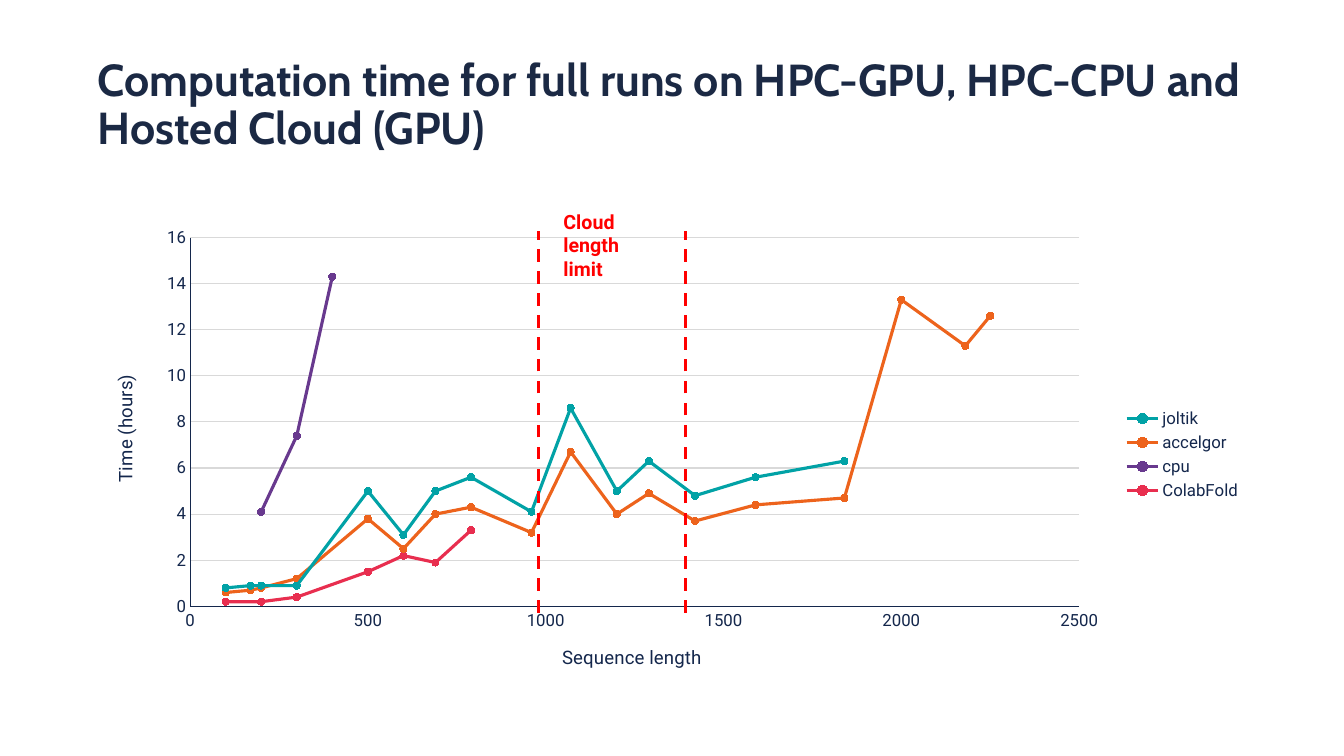
from itertools import zip_longest

from lxml import etree
from pptx import Presentation
from pptx.chart.data import XyChartData
from pptx.dml.color import RGBColor
from pptx.enum.chart import XL_CHART_TYPE, XL_LEGEND_POSITION, XL_MARKER_STYLE, XL_TICK_MARK
from pptx.enum.dml import MSO_LINE
from pptx.enum.shapes import MSO_CONNECTOR
from pptx.enum.text import MSO_ANCHOR, MSO_AUTO_SIZE, PP_ALIGN
from pptx.oxml.ns import qn
from pptx.util import Inches, Pt

SCATTER = XL_CHART_TYPE.XY_SCATTER_LINES
LEGEND_RIGHT = XL_LEGEND_POSITION.RIGHT
CIRCLE = XL_MARKER_STYLE.CIRCLE
NO_TICK = XL_TICK_MARK.NONE
DASH = MSO_LINE.DASH
STRAIGHT = MSO_CONNECTOR.STRAIGHT
MIDDLE = MSO_ANCHOR.MIDDLE
GROW = MSO_AUTO_SIZE.SHAPE_TO_FIT_TEXT
FIXED = MSO_AUTO_SIZE.NONE
LEFT = PP_ALIGN.LEFT

NAVY, INK, RED, GRID = "1B2944", "14274C", "FF0000", "D9D9D9"
LENGTHS = [100, 170, 200, 300, 400, 500, 600, 690, 790, 960,
           1070, 1200, 1290, 1420, 1590, 1840, 2000, 2180, 2250]
RUNS = [
    ("joltik", "01A2A6", [0.8, 0.9, 0.9, 0.9, None, 5, 3.1, 5, 5.6, 4.1,
                          8.6, 5, 6.3, 4.8, 5.6, 6.3]),
    ("accelgor", "ED631C", [0.6, 0.7, 0.8, 1.2, None, 3.8, 2.5, 4, 4.3, 3.2,
                            6.7, 4, 4.9, 3.7, 4.4, 4.7, 13.3, 11.3, 12.6]),
    ("cpu", "68398E", [None, None, 4.1, 7.4, 14.3]),
    ("ColabFold", "E82E4F", [0.2, None, 0.2, 0.4, None, 1.5, 2.2, 1.9, 3.3]),
]


def color(value):
    """Turn a hex string into a colour."""
    return RGBColor.from_string(value)


def style_font(font, name, size, fill, bold=False):
    """Set face, size, colour and weight of a font."""
    font.name, font.size, font.bold = name, Pt(size), bold
    font.color.rgb = color(fill)


def style_line(line, fill, width):
    """Set colour and width of a line."""
    line.color.rgb = color(fill)
    line.width = Pt(width)


def place(element, target=None, **percents):
    """Fix a chart part at percentages of the chart area."""
    layout = element.find(qn("c:layout"))
    if layout is None:
        layout = etree.Element(qn("c:layout"))
        element.insert(0, layout)
    manual = etree.SubElement(layout, qn("c:manualLayout"))
    settings = [("layoutTarget", target)] if target else []
    settings += [("xMode", "edge"), ("yMode", "edge")]
    settings += [(key, f"{percent / 100:.3f}") for key, percent in percents.items()]
    for key, value in settings:
        etree.SubElement(manual, qn(f"c:{key}")).set("val", value)


def bridge_gaps(chart_space):
    """Leave missing values empty and draw lines across them."""
    for point in list(chart_space.iter(qn("c:pt"))):
        if point.findtext(qn("c:v")) == "None":
            point.getparent().remove(point)
    for blanks in chart_space.iter(qn("c:dispBlanksAs")):
        blanks.set("val", "span")


class SlideBuilder:
    """Hold the style and the current slide, measured in percent of its size."""

    heading_font, body_font = "Cabin", "Roboto"

    def __init__(self, deck):
        """Add a slide that has a title placeholder."""
        self.deck = deck
        self.slide = deck.slides.add_slide(deck.slide_layouts[5])

    def x(self, percent):
        """Convert a share of the slide width."""
        return round(self.deck.slide_width * percent / 100)

    def y(self, percent):
        """Convert a share of the slide height."""
        return round(self.deck.slide_height * percent / 100)

    def area(self, left, top, width, height):
        """Convert the shares of a rectangle."""
        return self.x(left), self.y(top), self.x(width), self.y(height)

    def title(self, text, *area):
        """Fill and move the title."""
        box = self.slide.shapes.title
        box.left, box.top, box.width, box.height = self.area(*area)
        frame = box.text_frame
        frame.text = text
        frame.word_wrap, frame.auto_size, frame.vertical_anchor = True, FIXED, MIDDLE
        para = frame.paragraphs[0]
        para.alignment, para.line_spacing = LEFT, 0.9
        style_font(para.font, self.heading_font, 32, NAVY, True)

    def label(self, text, *area):
        """Add a bold red label."""
        frame = self.slide.shapes.add_textbox(*self.area(*area)).text_frame
        frame.text = text
        frame.word_wrap, frame.auto_size = True, GROW
        style_font(frame.paragraphs[0].font, self.body_font, 14, RED, True)

    def limit(self, left, bottom, top):
        """Add a dashed vertical limit."""
        line = self.slide.shapes.add_connector(
            STRAIGHT, self.x(left), self.y(bottom), self.x(left), self.y(top))
        style_line(line.line, RED, 2.25)
        line.line.dash_style = DASH
        etree.SubElement(line._element.spPr, qn("a:effectLst"))

    def axis(self, axis, title, maximum, step, left, top):
        """Format one axis and place its title."""
        axis.minimum_scale, axis.maximum_scale, axis.major_unit = 0, maximum, step
        axis.major_tick_mark = axis.minor_tick_mark = NO_TICK
        style_font(axis.tick_labels.font, self.body_font, 12, INK)
        style_line(axis.format.line, INK, 0.75)
        frame = axis.axis_title.text_frame
        frame.text = title
        style_font(frame.paragraphs[0].font, self.body_font, 13.3, INK)
        place(axis.axis_title._element, x=left, y=top)

    def chart(self, *area):
        """Add the scatter chart of the run times."""
        data = XyChartData()
        for name, _, hours in RUNS:
            series = data.add_series(name)
            for length, hour in zip_longest(LENGTHS, hours):
                series.add_data_point(length, hour)
        chart = self.slide.shapes.add_chart(SCATTER, *self.area(*area), data).chart
        bridge_gaps(chart._chartSpace)
        style_font(chart.font, self.body_font, 10, INK)
        chart.has_title = False
        chart.has_legend = True
        chart.legend.position, chart.legend.include_in_layout = LEGEND_RIGHT, False
        style_font(chart.legend.font, self.body_font, 12, INK)

        self.axis(chart.category_axis, "Sequence length", 2500, 500, 40.2, 89.5)
        self.axis(chart.value_axis, "Time (hours)", 16, 2, 1.4, 32.3)
        chart.category_axis.has_major_gridlines = False
        chart.value_axis.has_major_gridlines = True
        style_line(chart.value_axis.major_gridlines.format.line, GRID, 0.75)
        plot_area = chart._chartSpace.chart.plotArea
        place(plot_area, "inner", x=8.4, y=4, w=76.7, h=78.2)

        plot = chart.plots[0]
        plot.vary_by_categories = False
        for series, (_, fill, _) in zip(plot.series, RUNS):
            series.smooth = False
            style_line(series.format.line, fill, 2.25)
            marker = series.marker
            marker.style, marker.size = CIRCLE, 5
            marker.format.fill.solid()
            marker.format.fill.fore_color.rgb = color(fill)
            style_line(marker.format.line, fill, 0.75)


def main():
    """Build and save the deck."""
    deck = Presentation()
    deck.slide_width, deck.slide_height = Inches(13.33), Inches(7.5)
    page = SlideBuilder(deck)
    page.title("Computation time for full runs on HPC-GPU, HPC-CPU and "
               "Hosted Cloud (GPU)", 6.53, 8.8, 87, 10.4)
    page.chart(6.9, 28.93, 86.25, 62.4)
    for left in (40.05, 51):
        page.limit(left, 81.07, 30.53)
    page.label("Cloud length limit", 41.18, 27.07, 8.78, 7.6)
    deck.save("out.pptx")


if __name__ == "__main__":
    main()
